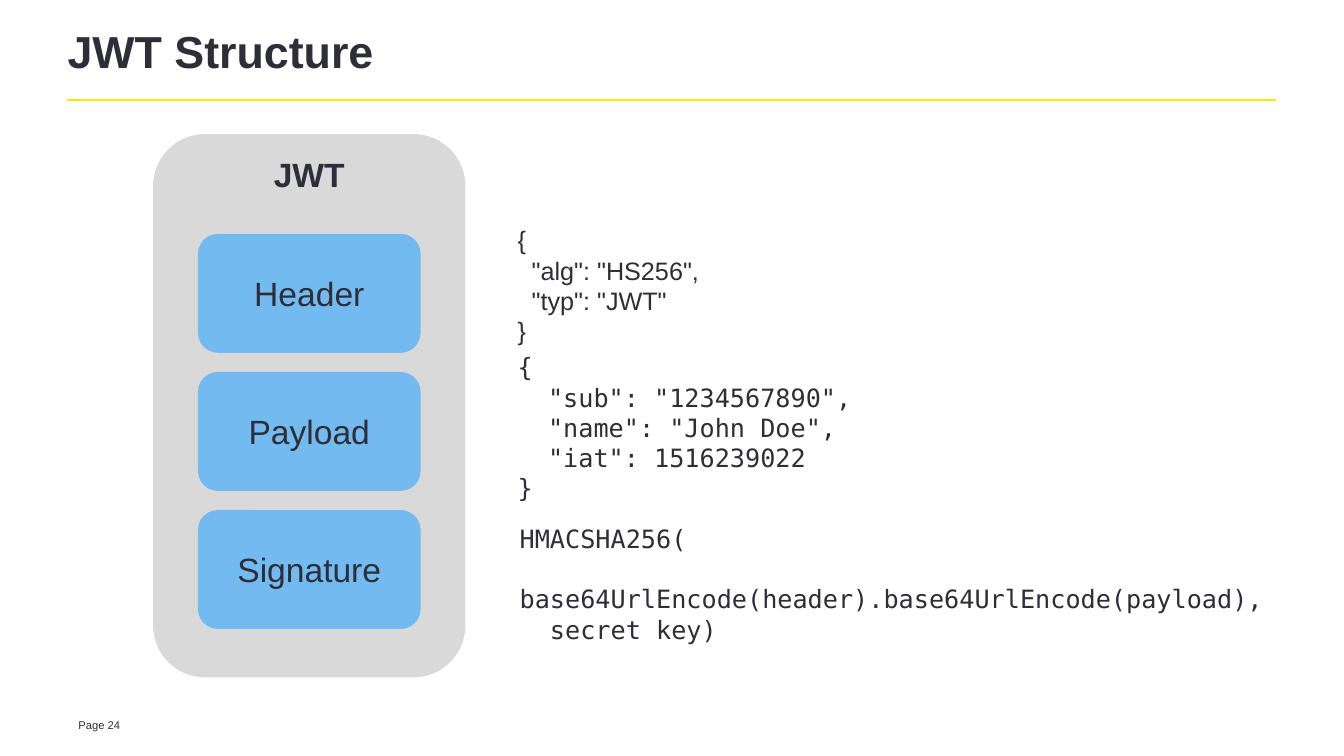
import pptx
import pptx.util
import pptx.dml.color
import pptx.enum.shapes
import pptx.enum.text
import pptx.oxml.ns
import lxml.etree

# Content
TITLE = "JWT Structure"
PAGE_LABEL = "Page 24"
TOKEN_NAME = "JWT"
PARTS = ["Header", "Payload", "Signature"]
HEADER_CODE = """{
  "alg": "HS256",
  "typ": "JWT"
}"""
PAYLOAD_CODE = """{
  "sub": "1234567890",
  "name": "John Doe",
  "iat": 1516239022
}"""
SIGNATURE_CODE = """HMACSHA256(
  base64UrlEncode(header).base64UrlEncode(payload),
  secret key)"""
# Code, font, (left, top, width, height)
SNIPPETS = [
    (HEADER_CODE, "Arial", (5.04, 2.18, 2.98, 1.31)),
    (PAYLOAD_CODE, "DejaVu Sans Mono", (5.04, 3.44, 3.89, 1.62)),
    (SIGNATURE_CODE, "DejaVu Sans Mono", (5.06, 5.14, 7.73, 1.01)),
]

# Look and grid, in inches
COLORS = {"ink": "2E2E38", "rule": "FFE600", "token": "D9D9D9", "part": "73BAF0"}
WIDTH, HEIGHT = 13.34, 7.5
MARGIN = 0.67
RULE_TOP = 0.99
TOKEN = (1.52, 1.33, 3.1, 5.39)
PART_WIDTH, PART_HEIGHT, PART_GAP = 2.21, 1.18, 0.19
PARTS_TOP = 2.32

ANCHOR = pptx.enum.text.MSO_ANCHOR
ALIGN = pptx.enum.text.PP_ALIGN
SHAPE = pptx.enum.shapes.MSO_SHAPE


def color(name):
    return pptx.dml.color.RGBColor.from_string(COLORS[name])


def inches(lengths):
    return [pptx.util.Inches(length) for length in lengths]


def write(shape, text, size, font="Arial", bold=False, align=ALIGN.LEFT, anchor=ANCHOR.TOP):
    frame = shape.text_frame
    frame.text = text
    frame.word_wrap = True
    frame.vertical_anchor = anchor
    for para in frame.paragraphs:
        para.alignment = align
        for span in para.runs:
            span.font.size = pptx.util.Pt(size)
            span.font.name = font
            span.font.bold = bold
            span.font.color.rgb = color("ink")


def add_box(page, place, fill):
    box = page.shapes.add_shape(SHAPE.ROUNDED_RECTANGLE, *inches(place))
    box.shadow.inherit = False
    box.fill.solid()
    box.fill.fore_color.rgb = color(fill)
    box.line.fill.background()
    return box


def add_title(page):
    title = page.shapes.title
    title.left, title.top, title.width, title.height = inches(
        (MARGIN, 0.32, WIDTH - 2 * MARGIN, 0.65))
    write(title, TITLE, 32, bold=True)
    frame = title.text_frame
    frame.auto_size = pptx.enum.text.MSO_AUTO_SIZE.NONE
    frame.margin_left = frame.margin_right = frame.margin_top = frame.margin_bottom = 0
    frame.paragraphs[0].line_spacing = 0.85

    rule = page.shapes.add_connector(
        pptx.enum.shapes.MSO_CONNECTOR.STRAIGHT,
        *inches((MARGIN, RULE_TOP, WIDTH - MARGIN, RULE_TOP)))
    rule.line.color.rgb = color("rule")
    rule.line.width = pptx.util.Pt(1.5)
    lxml.etree.SubElement(rule.element.spPr, pptx.oxml.ns.qn("a:effectLst"))


def main():
    deck = pptx.Presentation()
    deck.slide_width, deck.slide_height = inches((WIDTH, HEIGHT))
    page = deck.slides.add_slide(deck.slide_layouts[5])
    add_title(page)

    # Token with its three parts, centred in one column
    write(add_box(page, TOKEN, "token"), TOKEN_NAME, 24, bold=True, align=ALIGN.CENTER)
    part_left = TOKEN[0] + (TOKEN[2] - PART_WIDTH) / 2
    for row, name in enumerate(PARTS):
        top = PARTS_TOP + row * (PART_HEIGHT + PART_GAP)
        part = add_box(page, (part_left, top, PART_WIDTH, PART_HEIGHT), "part")
        write(part, name, 24, align=ALIGN.CENTER, anchor=ANCHOR.MIDDLE)

    # Code beside each part
    for code, font, place in SNIPPETS:
        write(page.shapes.add_textbox(*inches(place)), code, 18, font)

    # Page number
    write(page.shapes.add_textbox(*inches((0.68, 7.08, 0.73, 0.2))), PAGE_LABEL, 8)

    deck.save("out.pptx")


if __name__ == "__main__":
    main()
